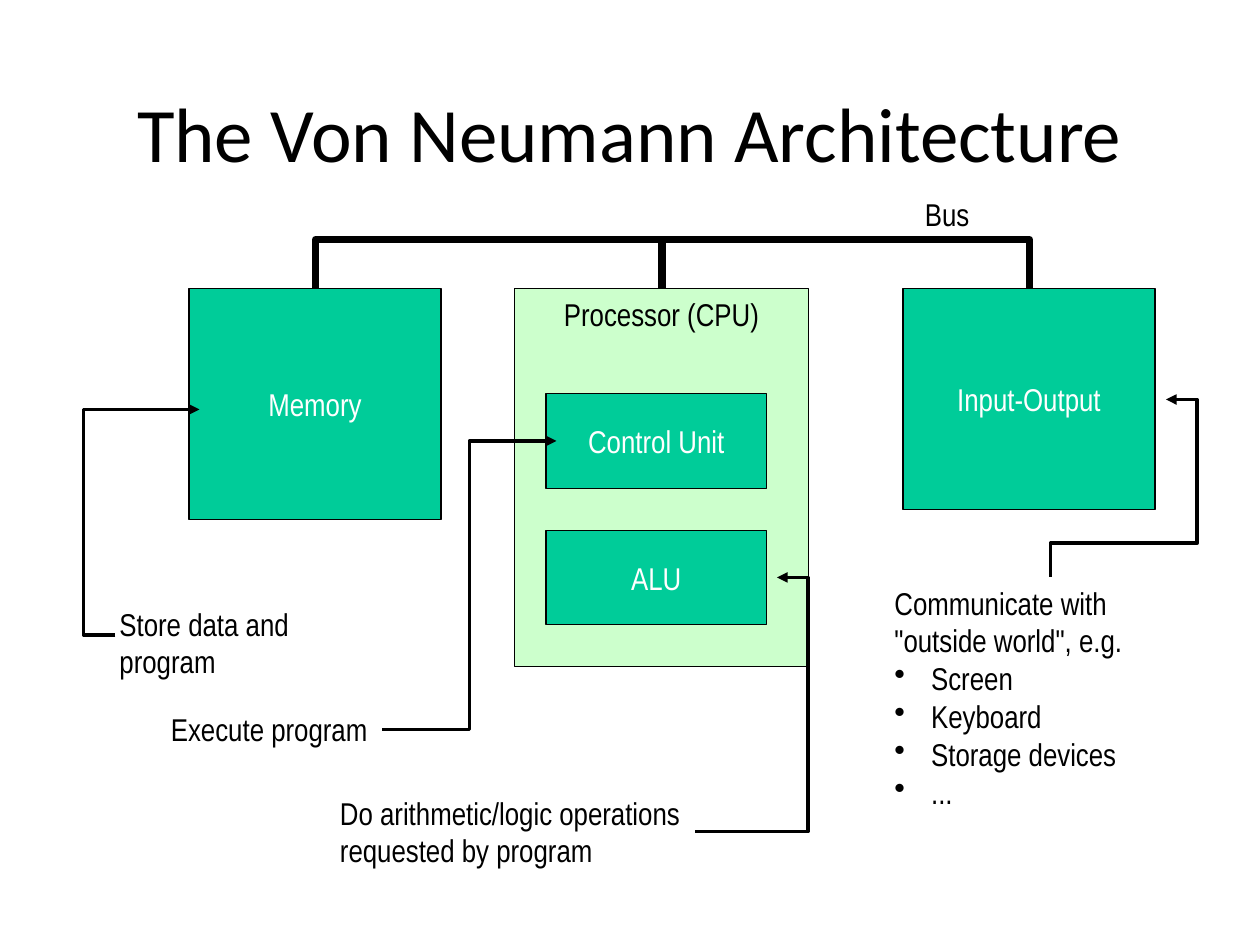
"""Build a slide on the Von Neumann architecture."""
import pptx
import pptx.dml.color
import pptx.enum.shapes
import pptx.enum.text
import pptx.oxml.ns
import pptx.oxml.xmlchemy
import pptx.util

deck = pptx.Presentation()
deck.slide_width = pptx.util.Inches(10)
deck.slide_height = pptx.util.Inches(7.5)
slide = deck.slides.add_slide(deck.slide_layouts[5])
shapes = slide.shapes
unit = deck.slide_width / 120
qn = pptx.oxml.ns.qn
node = pptx.oxml.xmlchemy.OxmlElement
align = pptx.enum.text.PP_ALIGN
anchor = pptx.enum.text.MSO_ANCHOR


def color(code):
    return pptx.dml.color.RGBColor.from_string(code)


def write(frame, text, size, face, code, side):
    frame.text = text
    for para in frame.paragraphs:
        para.alignment = side
        look = {"size": pptx.util.Pt(size), "name": face}
        for key, value in look.items():
            setattr(para.font, key, value)
        para.font.color.rgb = color(code)


title = shapes.title
place = {"left": 9, "top": 3.1, "width": 102, "height": 18.8}
for key, value in place.items():
    setattr(title, key, round(value * unit))
title.text_frame.vertical_anchor = anchor.MIDDLE
write(title.text_frame, "The Von Neumann Architecture", 44, "Calibri", "000000", align.CENTER)

boxes = [
    ("Memory", 18, 27.5, 24, 22, "00CC99", "FFFFFF", anchor.MIDDLE),
    ("Processor (CPU)", 49, 27.5, 28, 36, "CCFFCC", "000000", anchor.TOP),
    ("Input-Output", 86, 27.5, 24, 21, "00CC99", "FFFFFF", anchor.MIDDLE),
    ("Control Unit", 52, 37.5, 21, 9, "00CC99", "FFFFFF", anchor.MIDDLE),
    ("ALU", 52, 50.5, 21, 9, "00CC99", "FFFFFF", anchor.MIDDLE),
]
for text, *area, fill, ink, hold in boxes:
    box = shapes.add_shape(
        pptx.enum.shapes.MSO_SHAPE.RECTANGLE, *[round(n * unit) for n in area])
    box.shadow.inherit = False
    box.fill.solid()
    box.fill.fore_color.rgb = color(fill)
    box.line.color.rgb = color("000000")
    box.line.width = pptx.util.Pt(0.75)
    box.text_frame.vertical_anchor = hold
    write(box.text_frame, text, 18, "Arial Narrow", ink, align.CENTER)

flip = {"flipV": "1"}
rise = {"rot": "16200000", "flipH": "1"}
turn = {"rot": "5400000", "flipH": "1", "flipV": "1"}
wires = [
    (46.5, 11, 0.1, 33, rise, [-46.8], 4),
    (80.5, 10, 0.1, 35, rise, [-46.8], 4),
    (11, 39, 8, 21.5, flip, [-0.38], 2),
    (36.4, 42, 16.6, 27.5, flip, [0.5], 2),
    (66.2, 55, 7.8, 24.2, flip, [1.38], 2),
    (97.1, 41, 16.9, 11, turn, [0.19, 1.27], 2),
]
for x, y, wide, high, pose, bends, weight in wires:
    ends = [round(n * unit) for n in (x, y, x + wide, y + high)]
    wire = shapes.add_connector(pptx.enum.shapes.MSO_CONNECTOR.ELBOW, *ends)
    wire.line.color.rgb = color("000000")
    wire.line.width = pptx.util.Pt(weight)
    props = wire._element.spPr
    for key, value in pose.items():
        props.find(qn("a:xfrm")).set(key, value)
    geom = props.find(qn("a:prstGeom"))
    geom.set("prst", f"bentConnector{len(bends) + 2}")
    guides = geom.find(qn("a:avLst"))
    for i, bend in enumerate(bends, 1):
        guide = node("a:gd")
        guide.set("name", f"adj{i}")
        guide.set("fmla", f"val {round(bend * 100000)}")
        guides.append(guide)
    if weight == 2:
        head = node("a:tailEnd")
        head.set("type", "triangle")
        props.find(qn("a:ln")).append(head)
    props.append(node("a:effectLst"))

items = ["Screen", "Keyboard", "Storage devices", "..."]
world = "\n".join(["Communicate with", '"outside world", e.g.'] + items)
notes = [
    ("Bus", 86.9, 18, 6.6, 4.8, False),
    ("Store data and program", 10.2, 57, 28.3, 4.8, False),
    ("Execute program", 15.1, 67, 21.1, 4.8, False),
    ("Do arithmetic/logic operations\vrequested by program", 31.2, 75, 34.8, 8.4, False),
    (world, 84, 55, 32, 22.8, True),
]
for text, *area, wrap in notes:
    note = shapes.add_textbox(*[round(n * unit) for n in area])
    note.text_frame.word_wrap = wrap
    write(note.text_frame, text, 18, "Arial Narrow", "000000", align.LEFT)
    for para in note.text_frame.paragraphs:
        if para.text in items:
            props = para._p.get_or_add_pPr()
            gap = round(3.5 * unit)
            props.set("marL", str(gap))
            props.set("indent", str(-gap))
            dot = node("a:buChar")
            dot.set("char", "•")
            props.insert_element_before(dot, "a:tabLst", "a:defRPr", "a:extLst")

deck.save("out.pptx")
